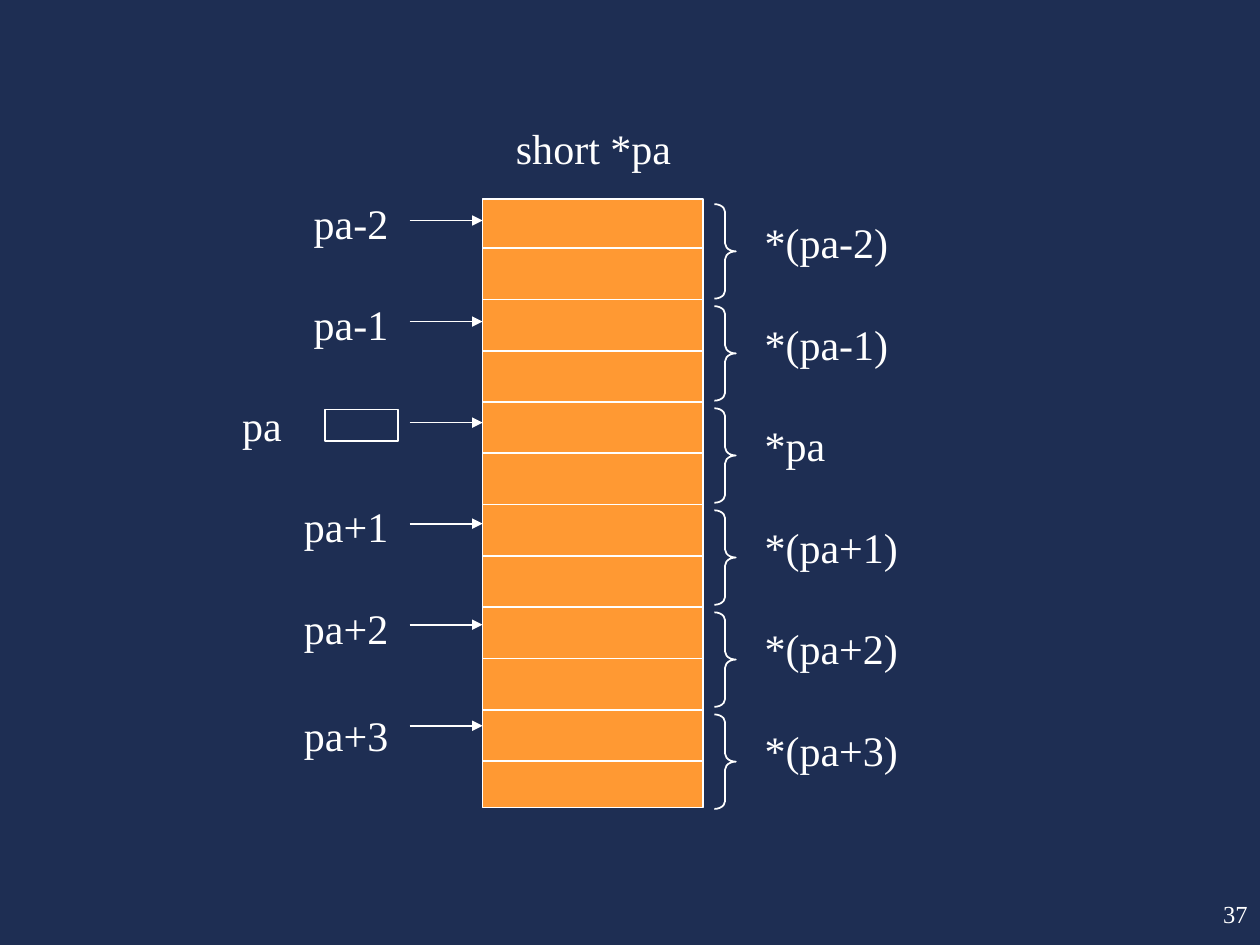
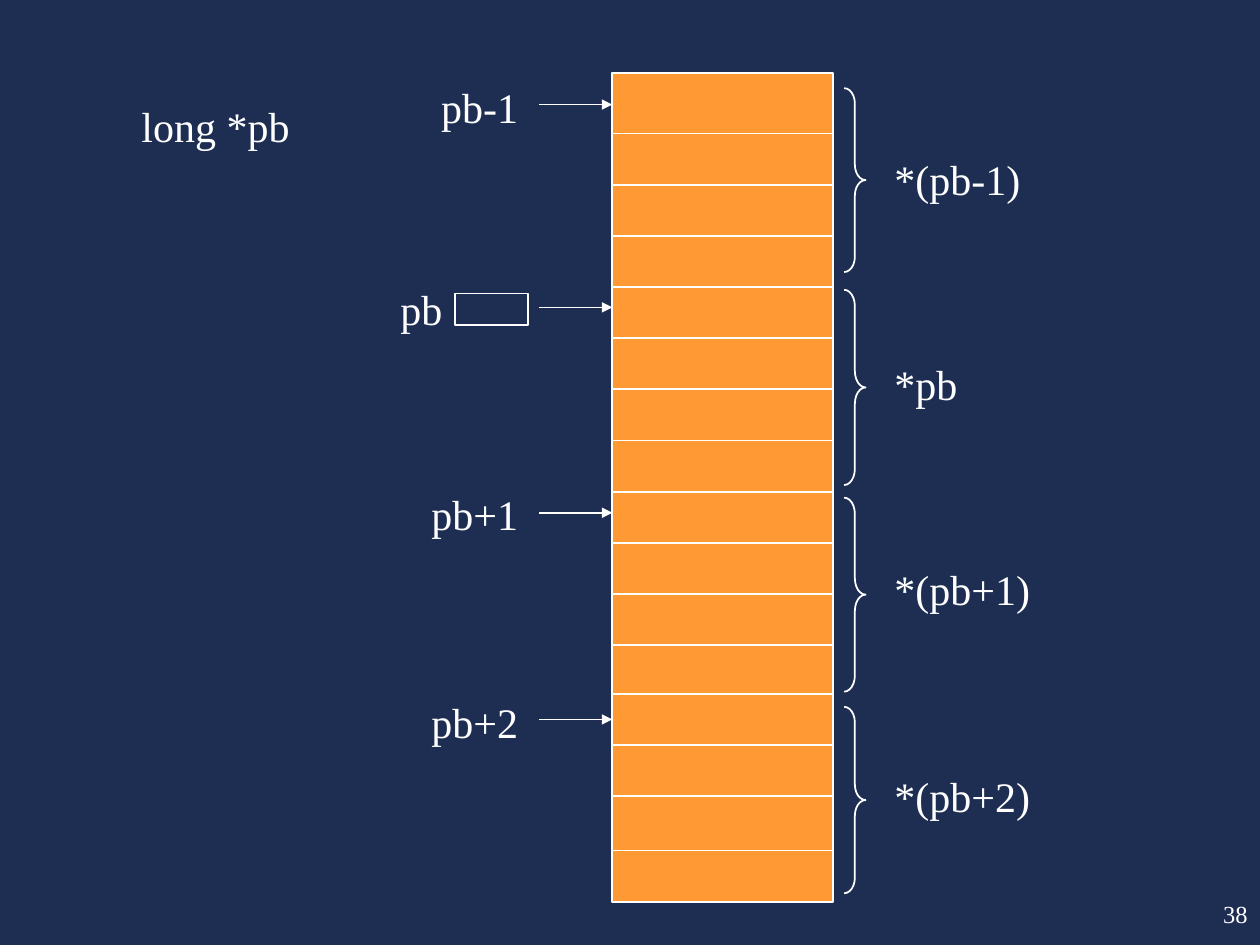
from dataclasses import dataclass

from lxml import etree
from pptx import Presentation
from pptx.dml.color import RGBColor
from pptx.enum.shapes import MSO_CONNECTOR, MSO_SHAPE
from pptx.enum.text import MSO_ANCHOR, PP_ALIGN
from pptx.oxml.ns import qn
from pptx.util import Inches, Pt

LEFT, CENTER, RIGHT = PP_ALIGN.LEFT, PP_ALIGN.CENTER, PP_ALIGN.RIGHT
TOP, MIDDLE = MSO_ANCHOR.TOP, MSO_ANCHOR.MIDDLE
RECTANGLE, BRACE = MSO_SHAPE.RECTANGLE, MSO_SHAPE.RIGHT_BRACE
STRAIGHT = MSO_CONNECTOR.STRAIGHT


@dataclass(frozen=True)
class Theme:
    background: RGBColor = RGBColor(0x1E, 0x2E, 0x53)
    memory: RGBColor = RGBColor(0xFF, 0x99, 0x33)
    ink: RGBColor = RGBColor(0xFF, 0xFF, 0xFF)
    font: str = "Times New Roman"
    label_size: int = 24
    number_size: int = 14
    line_width: float = 1


THEME = Theme()


def add_text(slide, text, left, top, width, height=0.5, align=LEFT,
             anchor=TOP, size=THEME.label_size):
    frame = slide.shapes.add_textbox(Inches(left), Inches(top),
                                     Inches(width), Inches(height)).text_frame
    frame.word_wrap = True
    frame.vertical_anchor = anchor
    paragraph = frame.paragraphs[0]
    paragraph.alignment = align
    run = paragraph.add_run()
    run.text = text
    run.font.name = THEME.font
    run.font.size = Pt(size)
    run.font.color.rgb = THEME.ink


def add_line(slide, left, right, y, arrow=False):
    line = slide.shapes.add_connector(STRAIGHT, Inches(left), Inches(y),
                                      Inches(right), Inches(y))
    line.line.color.rgb = THEME.ink
    line.line.width = Pt(THEME.line_width)
    if arrow:
        etree.SubElement(line.line._get_or_add_ln(), qn("a:tailEnd"), type="triangle")
    etree.SubElement(line._element.spPr, qn("a:effectLst"))


# Shared geometry, in inches; offsets are measured from the memory column
COLUMN_WIDTH = 1.75
ARROW_LENGTH = 0.58
LABEL_GAP = 0.65
POINTER_OFFSET, POINTER_WIDTH, POINTER_HEIGHT = 1.25, 0.58, 0.25
BRACE_OFFSET, BRACE_WIDTH = 1.84, 0.17
VALUE_OFFSET, VALUE_WIDTH = 2.14, 1.67

# Each element: address label, its top, arrow y, brace top, brace height, value top
diagrams = [
    dict(
        number="37", title="short *pa", title_at=(3.92, 0.92),
        column=(3.83, 1.58, 4.83),
        dividers=[1.97 + i * (6.04 - 1.97) / 10 for i in range(11)],
        pointer="pa", pointer_top=3.25, pointer_align=CENTER,
        elements=[
            (label, label_top, 1.75 + i * 0.802, 1.62 + i * 0.81, 0.75, 1.67 + i * 0.806)
            for i, (label, label_top) in enumerate([
                ("pa-2", 1.52), ("pa-1", 2.32), ("pa", 3.12),
                ("pa+1", 3.92), ("pa+2", 4.73), ("pa+3", 5.58)])
        ],
    ),
    dict(
        number="38", title="long *pb", title_at=(0.92, 0.75),
        column=(4.86, 0.58, 6.58),
        dividers=[1.06 + i * (5.12 - 1.06) / 10 for i in range(11)]
        + [5.51, 5.91, 6.32, 6.75],
        pointer="pb", pointer_top=2.33, pointer_align=RIGHT,
        elements=[
            ("pb-1", 0.60, 0.83, 0.70, 1.46, 1.17),
            ("pb", 2.20, 2.44, 2.30, 1.55, 2.80),
            ("pb+1", 3.83, 4.07, 3.95, 1.54, 4.42),
            ("pb+2", 5.48, 5.71, 5.61, 1.48, 6.07),
        ],
    ),
]

deck = Presentation()
deck.slide_width, deck.slide_height = Inches(10), Inches(7.5)

for diagram in diagrams:
    slide = deck.slides.add_slide(deck.slide_layouts[6])
    slide.background.fill.solid()
    slide.background.fill.fore_color.rgb = THEME.background
    column_left, column_top, column_height = diagram["column"]
    add_text(slide, diagram["title"], *diagram["title_at"], 1.58, align=CENTER)

    # Memory column, pointer variable and one brace per element
    pointer_left = column_left - POINTER_OFFSET
    outlines = [
        (RECTANGLE, column_left, column_top, COLUMN_WIDTH, column_height),
        (RECTANGLE, pointer_left, diagram["pointer_top"], POINTER_WIDTH, POINTER_HEIGHT),
    ] + [
        (BRACE, column_left + BRACE_OFFSET, brace_top, BRACE_WIDTH, brace_height)
        for _, _, _, brace_top, brace_height, _ in diagram["elements"]
    ]
    for i, (kind, *box) in enumerate(outlines):
        outline = slide.shapes.add_shape(kind, *map(Inches, box))
        outline.shadow.inherit = False
        outline.line.color.rgb = THEME.ink
        outline.line.width = Pt(THEME.line_width)
        if i == 0:
            outline.fill.solid()
            outline.fill.fore_color.rgb = THEME.memory
        else:
            outline.fill.background()
        if kind == BRACE:
            outline.adjustments[0] = box[3] / 12 / BRACE_WIDTH

    # Byte boundaries
    for y in diagram["dividers"]:
        add_line(slide, column_left, column_left + COLUMN_WIDTH, y)

    # Addresses on the left, dereferenced values on the right
    for label, label_top, arrow_y, _, _, value_top in diagram["elements"]:
        is_pointer = label == diagram["pointer"]
        label_right = pointer_left if is_pointer else column_left - LABEL_GAP
        label_width = 1 if is_pointer else 1.18
        add_text(slide, label, label_right - label_width, label_top, label_width,
                 align=diagram["pointer_align"] if is_pointer else RIGHT)
        add_line(slide, column_left - ARROW_LENGTH, column_left, arrow_y, arrow=True)
        add_text(slide, f"*{label}" if is_pointer else f"*({label})",
                 column_left + VALUE_OFFSET, value_top, VALUE_WIDTH)

    # Slide number
    add_text(slide, diagram["number"], 7.92, 7, 2.08, align=RIGHT,
             anchor=MIDDLE, size=THEME.number_size)

deck.save("out.pptx")
